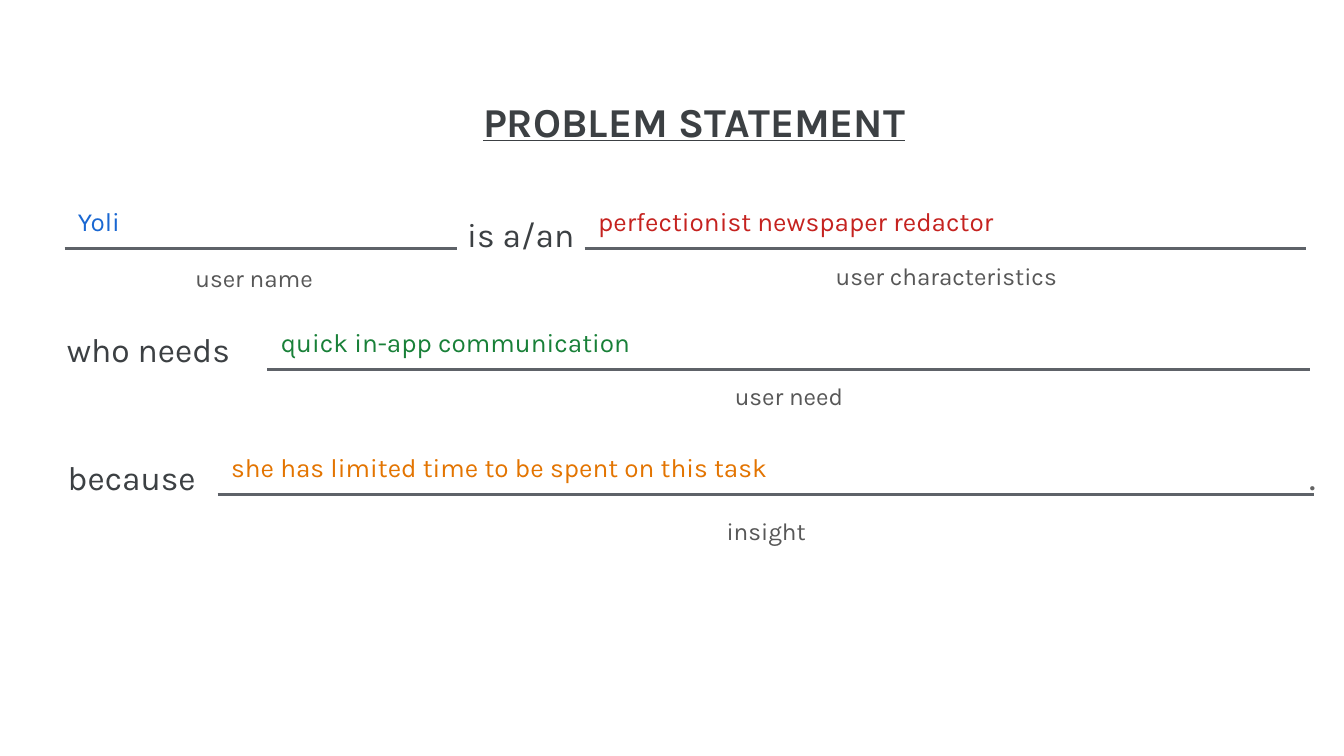
from dataclasses import dataclass

from lxml.etree import SubElement
from pptx import Presentation
from pptx.dml.color import RGBColor
from pptx.enum.shapes import MSO_CONNECTOR
from pptx.enum.text import MSO_ANCHOR, MSO_AUTO_SIZE, PP_ALIGN
from pptx.oxml.ns import qn
from pptx.util import Inches, Pt


@dataclass(frozen=True)
class Theme:
    font: str = "Karla"
    paper: str = "FFFFFF"
    ink: str = "3C4043"
    hint: str = "575757"
    period: str = "646464"
    rule: str = "5E6268"
    blue: str = "1967D2"
    red: str = "C5221F"
    green: str = "188038"
    orange: str = "E37400"
    title_size: int = 22
    period_size: int = 20
    phrase_size: int = 18
    answer_size: int = 14
    hint_size: int = 13
    rule_width: float = 1.5


theme = Theme()


def write(holder, text, box, size, color, align=PP_ALIGN.CENTER,
          inset=0.1, bold=False, underline=False):
    """Place a text holder and fill it with one formatted paragraph."""
    holder.left, holder.top, holder.width, holder.height = map(Inches, box)
    frame = holder.text_frame
    frame.word_wrap = True
    frame.auto_size = MSO_AUTO_SIZE.NONE
    frame.vertical_anchor = MSO_ANCHOR.TOP
    frame.margin_left = frame.margin_right = Inches(inset)
    frame.margin_top = frame.margin_bottom = Inches(inset)
    frame.text = text
    paragraph = frame.paragraphs[0]
    paragraph.alignment = align
    paragraph.line_spacing = 1.0
    paragraph.space_before = paragraph.space_after = Pt(0)
    # No bullet and no hanging indent
    properties = paragraph._p.get_or_add_pPr()
    properties.set("marL", "0")
    properties.set("indent", "0")
    SubElement(properties, qn("a:buNone"))
    font = paragraph.runs[0].font
    font.name, font.size = theme.font, Pt(size)
    font.bold, font.underline = bold, underline
    font.color.rgb = RGBColor.from_string(color)


# Widescreen page, 16:9
presentation = Presentation()
presentation.slide_width = Inches(10)
presentation.slide_height = Inches(10 * 9 / 16)

# The Comparison layout offers a title and four body placeholders
slide = presentation.slides.add_slide(presentation.slide_layouts[4])
slide.background.fill.solid()
slide.background.fill.fore_color.rgb = RGBColor.from_string(theme.paper)

# Title
write(slide.shapes.title, "PROBLEM STATEMENT", (0.43, 0.62, 9.47, 0.54),
      theme.title_size, theme.ink, bold=True, underline=True)

# Blanks: answer, colour, left, right, rule height, hint, hint box
blanks = [
    ("Yoli", theme.blue, 0.48, 3.4, 1.85,
     "user name", (0.43, 1.86, 2.92, 0.35)),
    ("perfectionist newspaper redactor", theme.red, 4.35, 9.72, 1.85,
     "user characteristics", (4.35, 1.84, 5.38, 0.35)),
    ("quick in-app communication", theme.green, 1.99, 9.75, 2.75,
     "user need", (1.99, 2.74, 7.76, 0.52)),
    ("she has limited time to be spent on this task", theme.orange,
     1.62, 9.78, 3.68, "insight", (1.62, 3.74, 8.16, 0.63)),
]
answer_height = 0.42
answers = list(slide.placeholders)[1:]
for answer, (text, color, left, right, rule_y, hint, hint_box) in zip(answers, blanks):
    write(answer, text,
          (left, rule_y - answer_height, right - left, answer_height),
          theme.answer_size, color, align=PP_ALIGN.LEFT)

    rule = slide.shapes.add_connector(
        MSO_CONNECTOR.STRAIGHT,
        Inches(left), Inches(rule_y), Inches(right), Inches(rule_y))
    rule.line.color.rgb = RGBColor.from_string(theme.rule)
    rule.line.width = Pt(theme.rule_width)
    SubElement(rule._element.spPr, qn("a:effectLst"))

    write(slide.shapes.add_textbox(0, 0, 0, 0), hint, hint_box,
          theme.hint_size, theme.hint)

# Connecting phrases
phrases = [
    ("is a/an", (3.4, 1.54, 0.95, 0.4), 0.05),
    ("who needs", (0.09, 2.35, 2.03, 0.63), 0.1),
    ("because", (0.09, 3.3, 1.78, 0.54), 0.1),
]
for text, box, inset in phrases:
    write(slide.shapes.add_textbox(0, 0, 0, 0), text, box,
          theme.phrase_size, theme.ink, inset=inset)

# Closing period
write(slide.shapes.add_textbox(0, 0, 0, 0), ".", (9.69, 3.32, 0.32, 0.44),
      theme.period_size, theme.period, align=PP_ALIGN.LEFT, inset=0.05)

presentation.save("out.pptx")
